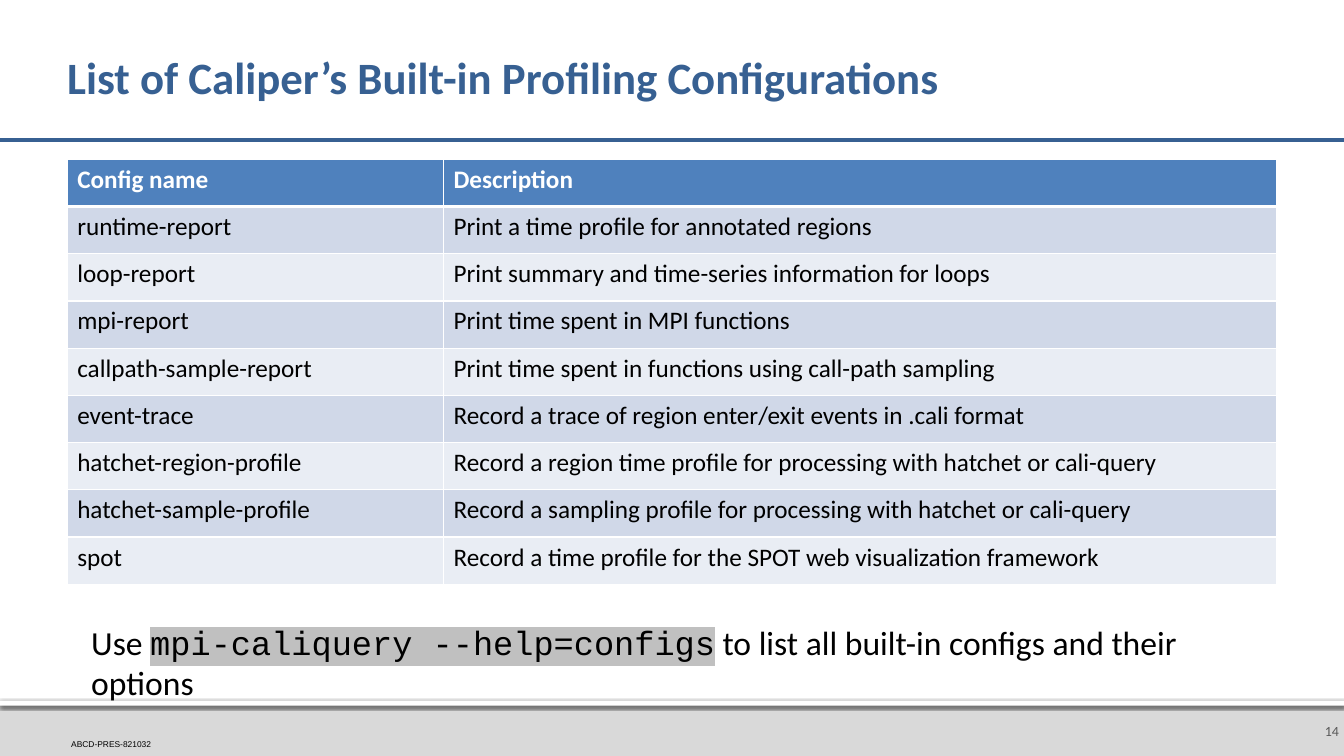
from lxml import etree
from pptx import Presentation, util as u
from pptx.dml.color import RGBColor
from pptx.enum import shapes, text
from pptx.oxml import parse_xml
from pptx.oxml.ns import nsdecls, qn

NAVY = RGBColor(0x37, 0x60, 0x92)
BLUE = RGBColor(0x4F, 0x81, 0xBD)
BANDS = RGBColor(0xE9, 0xED, 0xF4), RGBColor(0xD0, 0xD8, 0xE8)
GREY = RGBColor(0xD9, 0xD9, 0xD9)
DARK = RGBColor(0x59, 0x59, 0x59)
CODE = RGBColor(0xC0, 0xC0, 0xC0)
BLACK = RGBColor(0, 0, 0)
WHITE = RGBColor(255, 255, 255)

deck = Presentation()
deck.slide_width, deck.slide_height = u.Inches(13.33), u.Inches(7.5)
COL, ROW = deck.slide_width / 20, deck.slide_height / 150
slide = deck.slides.add_slide(deck.slide_layouts[5])
parts = slide.shapes


def grid(x, y, wide, high):
    return [round(n) for n in (x * COL, y * ROW, wide * COL, high * ROW)]


def write(para, words, size, color, name="Calibri", bold=False):
    run = para.add_run()
    run.text = words
    form = {"size": u.Pt(size), "name": name, "bold": bold}
    for key, val in form.items():
        setattr(run.font, key, val)
    run.font.color.rgb = color
    return run


# Footer band, with a shaded white strip along its top
for high, color in ((11, GREY), (1, WHITE)):
    band = parts.add_shape(shapes.MSO_SHAPE.RECTANGLE, *grid(0, 139, 20, high))
    band.shadow.inherit = False
    band.fill.solid()
    band.fill.fore_color.rgb = color
    band.line.fill.background()
glow = band.element.spPr.find(qn("a:effectLst"))
glow.append(parse_xml(
    f'<a:outerShdw {nsdecls("a")} blurRad="31750" dist="10160" dir="5400000" '
    'algn="t" rotWithShape="0"><a:srgbClr val="000000">'
    '<a:alpha val="60000"/></a:srgbClr></a:outerShdw>'))

# Rule below the title
left, top, wide, _ = grid(0, 27.8, 20, 0)
rule = parts.add_connector(shapes.MSO_CONNECTOR.STRAIGHT, left, top, wide, top)
rule.line.color.rgb = NAVY
rule.line.width = u.Pt(3)
etree.SubElement(rule.element.spPr, qn("a:effectLst"))

# Title
title = parts.title
title.left, title.top, title.width, title.height = grid(1, 4.8, 18, 22)
frame = title.text_frame
form = {"margin_left": 0, "margin_right": u.Inches(0.05),
        "vertical_anchor": text.MSO_ANCHOR.MIDDLE, "word_wrap": True,
        "auto_size": text.MSO_AUTO_SIZE.NONE}
for key, val in form.items():
    setattr(frame, key, val)
para = frame.paragraphs[0]
para.alignment = text.PP_ALIGN.LEFT
para.line_spacing = 0.9
write(para, "List of Caliper’s Built-in Profiling Configurations", 32, NAVY, bold=True)

# Table of configurations
data = [
    ("Config name", "Description"),
    ("runtime-report", "Print a time profile for annotated regions"),
    ("loop-report", "Print summary and time-series information for loops"),
    ("mpi-report", "Print time spent in MPI functions"),
    ("callpath-sample-report", "Print time spent in functions using call-path sampling"),
    ("event-trace", "Record a trace of region enter/exit events in .cali format"),
    ("hatchet-region-profile",
     "Record a region time profile for processing with hatchet or cali-query"),
    ("hatchet-sample-profile",
     "Record a sampling profile for processing with hatchet or cali-query"),
    ("spot", "Record a time profile for the SPOT web visualization framework"),
]
table = parts.add_table(len(data), 2, *grid(1, 31.6, 18, 84.4)).table
for col, share in zip(table.columns, (5.6, 12.4)):
    col.width = round(share * COL)
for r, line in enumerate(data):
    head = r == 0
    for c, words in enumerate(line):
        cell = table.cell(r, c)
        cell.fill.solid()
        cell.fill.fore_color.rgb = BLUE if head else BANDS[r % 2]
        write(cell.text_frame.paragraphs[0], words, 18,
              WHITE if head else BLACK, bold=head)
        for i, side in enumerate("LRTB"):
            thick = (r, side) in ((0, "B"), (1, "T"))
            edge = parse_xml(
                f'<a:ln{side} {nsdecls("a")} w="{u.Pt(3 if thick else 1)}">'
                f'<a:solidFill><a:srgbClr val="{WHITE}"/></a:solidFill></a:ln{side}>')
            cell._tc.get_or_add_tcPr().insert(i, edge)

# Text boxes: place, margins (left, top, right, bottom), anchor, alignment, runs
TOP, MID, LOW = text.MSO_ANCHOR.TOP, text.MSO_ANCHOR.MIDDLE, text.MSO_ANCHOR.BOTTOM
LEFT, RIGHT = text.PP_ALIGN.LEFT, text.PP_ALIGN.RIGHT
boxes = [
    ((1.21, 122.4, 17.58, 10), (0.1, 0.05, 0.1, 0.05), TOP, LEFT,
     [("Use ", 24, BLACK),
      ("mpi-caliquery --help=configs", 24, BLACK, "Courier New"),
      (" to list all built-in configs and their options", 24, BLACK)]),
    ((19.31, 140, 0.69, 10), (0.1, 0.05, 0.05, 0.05), MID, RIGHT,
     [("14", 10, DARK)]),
    ((1.06, 146.6, 1.9, 2), (0, 0, 0, 0), LOW, LEFT,
     [("ABCD-PRES-821032", 6, BLACK, "Arial")]),
]
for place, gaps, anchor, align, runs in boxes:
    frame = parts.add_textbox(*grid(*place)).text_frame
    frame.word_wrap = True
    frame.vertical_anchor = anchor
    for side, gap in zip(("left", "top", "right", "bottom"), gaps):
        setattr(frame, "margin_" + side, u.Inches(gap))
    para = frame.paragraphs[0]
    para.alignment = align
    for part in runs:
        run = write(para, *part)
        if run.font.name == "Courier New":
            mark = parse_xml(f'<a:highlight {nsdecls("a")}>'
                             f'<a:srgbClr val="{CODE}"/></a:highlight>')
            run.font._element.find(qn("a:latin")).addprevious(mark)

deck.save("out.pptx")
